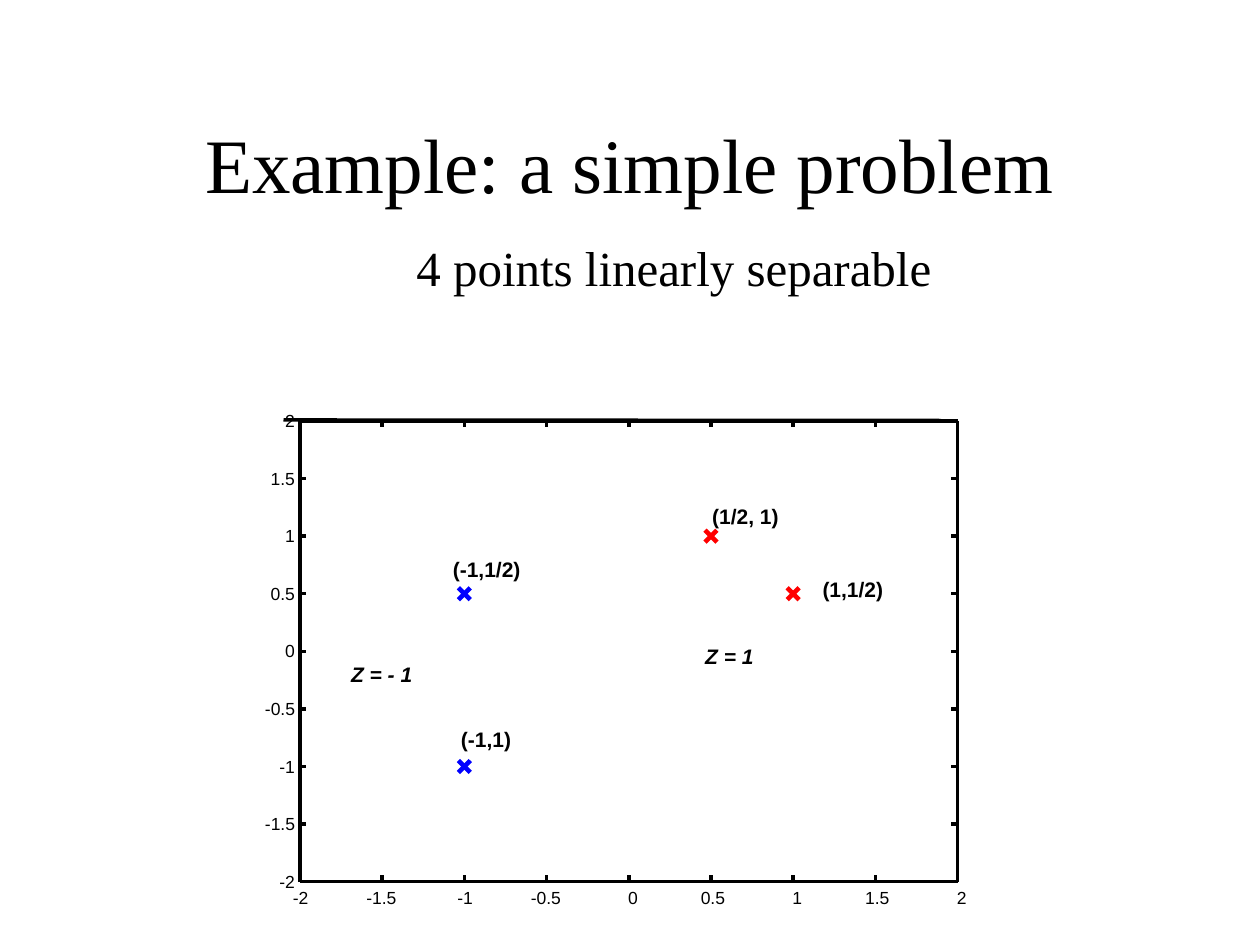
from dataclasses import dataclass

from lxml.etree import SubElement
from pptx import Presentation
from pptx.dml.color import RGBColor
from pptx.enum.shapes import MSO_CONNECTOR, MSO_SHAPE
from pptx.enum.text import MSO_ANCHOR, PP_ALIGN
from pptx.oxml.ns import qn
from pptx.util import Pt


@dataclass(frozen=True)
class Theme:
    serif: str = "Times New Roman"
    sans: str = "Arial"
    black: RGBColor = RGBColor(0, 0, 0)
    white: RGBColor = RGBColor(255, 255, 255)
    blue: RGBColor = RGBColor(0, 0, 255)
    red: RGBColor = RGBColor(255, 0, 0)
    title_size: float = 44
    subtitle_size: float = 28
    note_size: float = 12
    tick_size: float = 10
    hairline: float = 0
    marker_line: float = 2.64


THEME = Theme()

# Plot frame and axis range, lengths in points
LEFT, TOP, RIGHT, BOTTOM = 171.4, 240.6, 547.2, 503.8
LOWEST, HIGHEST, STEP = -2, 2, 0.5
TICK_LENGTH = 3.6
MARKER_RADIUS = 3.4

# Number of characters in a tick label: (width, start relative to its x tick)
TICK_LABELS = {1: (5.6, -0.4), 2: (8.9, -4), 3: (13.9, -5.8), 4: (17.2, -9)}

POINTS = [
    (-1, -1, THEME.blue),
    (-1, 0.5, THEME.blue),
    (0.5, 1, THEME.red),
    (1, 0.5, THEME.red),
]

# Text, left, top, width, italic
NOTES = [
    ("Z = 1", 403, 368, 31, True),
    ("Z = - 1", 200.6, 378.2, 38, True),
    ("(1/2, 1)", 407, 288, 42, False),
    ("(1,1/2)", 470, 329.4, 35, False),
    ("(-1,1/2)", 258.8, 317.8, 42, False),
    ("(-1,1)", 263.4, 415, 32, False),
]


def plot_x(value):
    return LEFT + (value - LOWEST) * (RIGHT - LEFT) / (HIGHEST - LOWEST)


def plot_y(value):
    return BOTTOM - (value - LOWEST) * (BOTTOM - TOP) / (HIGHEST - LOWEST)


def add_text(slide, text, box, size, font=THEME.sans, margins=(0, 0), wrap=False):
    """Add a one-paragraph text box and return its shape and paragraph."""
    shape = slide.shapes.add_textbox(*map(Pt, box))
    frame = shape.text_frame
    frame.word_wrap = wrap
    frame.margin_left = frame.margin_right = Pt(margins[0])
    frame.margin_top = frame.margin_bottom = Pt(margins[1])
    paragraph = frame.paragraphs[0]
    paragraph.text = text
    paragraph.font.name = font
    paragraph.font.size = Pt(size)
    paragraph.font.color.rgb = THEME.black
    return shape, paragraph


def add_line(slide, start, end, color=THEME.black, width=THEME.hairline):
    line = slide.shapes.add_connector(
        MSO_CONNECTOR.STRAIGHT, *map(Pt, (*start, *end)))
    line.line.color.rgb = color
    line.line.width = Pt(width)
    SubElement(line._element.spPr, qn("a:effectLst"))


def add_headings(slide):
    shape, paragraph = add_text(
        slide, "Example: a simple problem", (54, 48, 612, 90),
        THEME.title_size, THEME.serif, (7.2, 3.6), True)
    shape.text_frame.vertical_anchor = MSO_ANCHOR.MIDDLE
    paragraph.alignment = PP_ALIGN.CENTER

    shape, paragraph = add_text(
        slide, "4 points linearly separable", (60, 132, 576, 54),
        THEME.subtitle_size, THEME.serif, (7.2, 3.6), True)
    shape.text_frame.margin_left = Pt(178)
    paragraph.space_before = Pt(7)


def add_frame(slide):
    area = slide.shapes.add_shape(
        MSO_SHAPE.RECTANGLE, *map(Pt, (LEFT, TOP, RIGHT - LEFT, BOTTOM - TOP)))
    area.shadow.inherit = False
    area.fill.background()
    area.line.color.rgb = THEME.white
    area.line.width = Pt(THEME.hairline)

    corners = [(LEFT, TOP), (RIGHT, TOP), (RIGHT, BOTTOM), (LEFT, BOTTOM)]
    for start, end in zip(corners, corners[1:] + corners[:1]):
        add_line(slide, start, end)
    # Second top line, shifted to the left
    add_line(slide, (LEFT - 9.4, TOP - 0.6), (RIGHT - 9.4, TOP - 0.3))


def add_axes(slide):
    tick_count = int((HIGHEST - LOWEST) / STEP) + 1
    for index in range(tick_count):
        value = LOWEST + index * STEP
        x, y = plot_x(value), plot_y(value)
        label = f"{value:g}"
        width, offset = TICK_LABELS[len(label)]

        # Ticks on all four sides
        add_line(slide, (x, BOTTOM), (x, BOTTOM - TICK_LENGTH))
        add_line(slide, (x, TOP), (x, TOP + TICK_LENGTH))
        add_line(slide, (LEFT, y), (LEFT + TICK_LENGTH, y))
        add_line(slide, (RIGHT, y), (RIGHT - TICK_LENGTH, y))

        # Labels below and to the left
        for left, top in ((x + offset, BOTTOM + 3.2),
                          (LEFT - 2.8 - width, y - 6.2)):
            add_text(slide, label, (left, top, width, 12.2), THEME.tick_size)


def add_marker(slide, x_value, y_value, color):
    x, y = plot_x(x_value), plot_y(y_value)
    for rise in (MARKER_RADIUS, -MARKER_RADIUS):
        add_line(slide, (x - MARKER_RADIUS, y - rise),
                 (x + MARKER_RADIUS, y + rise), color, THEME.marker_line)


def add_note(slide, text, left, top, width, italic):
    _, paragraph = add_text(
        slide, text, (left, top, width, 14.4), THEME.note_size)
    paragraph.font.bold = True
    paragraph.font.italic = italic


def main():
    presentation = Presentation()
    presentation.slide_width, presentation.slide_height = Pt(720), Pt(540)
    slide = presentation.slides.add_slide(presentation.slide_layouts[6])

    add_headings(slide)
    add_frame(slide)
    add_axes(slide)
    for point in POINTS:
        add_marker(slide, *point)
    for note in NOTES:
        add_note(slide, *note)

    presentation.save("out.pptx")


if __name__ == "__main__":
    main()
